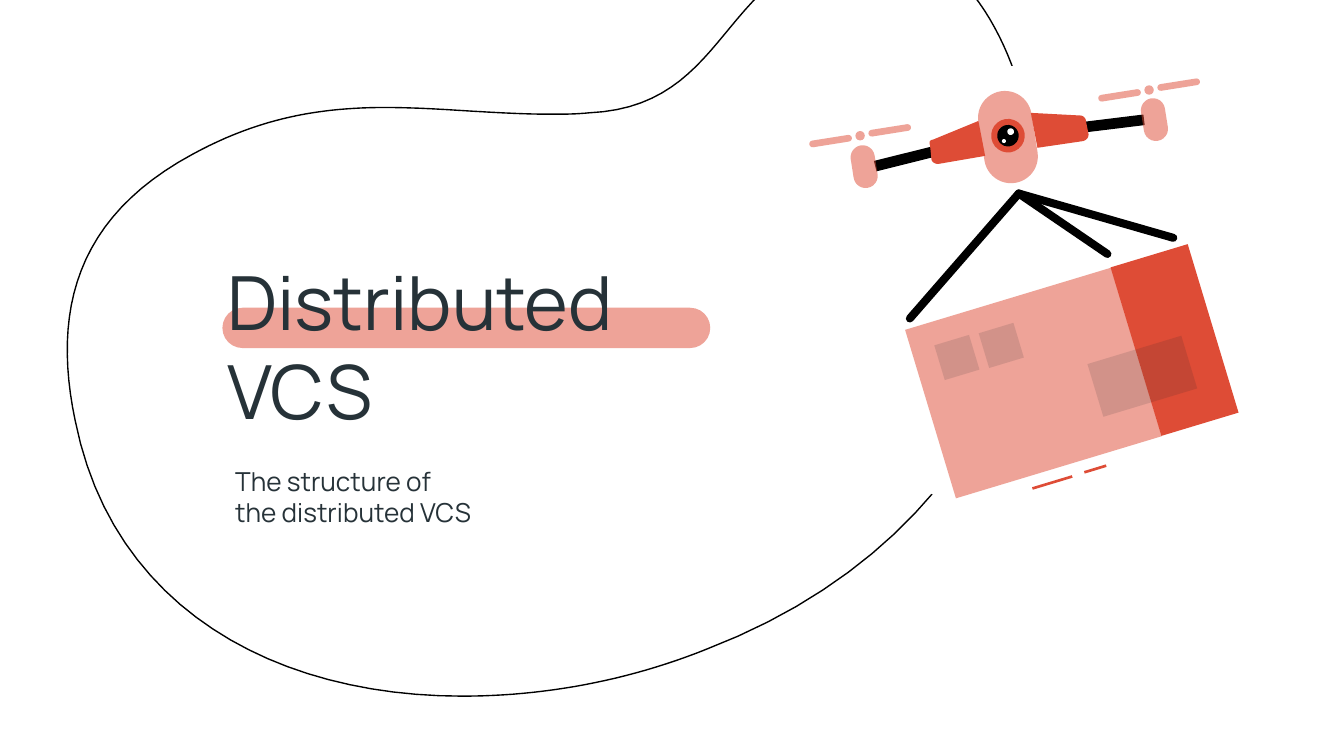
from dataclasses import dataclass

from lxml.etree import SubElement
from pptx import Presentation
from pptx.dml.color import RGBColor
from pptx.enum.shapes import MSO_CONNECTOR, MSO_SHAPE
from pptx.enum.text import MSO_ANCHOR, MSO_AUTO_SIZE, PP_ALIGN
from pptx.oxml.ns import qn
from pptx.util import Inches, Pt


@dataclass(frozen=True)
class Theme:
    font: str = "Manrope"
    title_size: int = 40
    body_size: int = 14
    line: float = 0.75
    rope: float = 4.3
    ink: tuple = ("263238", 100)
    red: tuple = ("DE4C36", 100)
    pink: tuple = ("DE4C36", 51)
    shade: tuple = ("1A2327", 13)
    black: tuple = ("000000", 100)
    white: tuple = ("FFFFFF", 100)


T = Theme()
RECT, PILL, DISC = MSO_SHAPE.RECTANGLE, MSO_SHAPE.ROUNDED_RECTANGLE, MSO_SHAPE.OVAL
SLIDE_WIDTH = 10
SLIDE_HEIGHT = SLIDE_WIDTH * 9 / 16

TITLE = ["Distributed VCS"]
SUBTITLE = ["The structure of", "the distributed VCS"]

# Outlines: a start point, then a point per straight line or three per Bezier curve
BLOB = [
    (6.51, -0.44),
    (6.36, -0.44, 6.19, -0.4, 6.01, -0.31), (5.34, 0.04, 5.29, 0.8, 4.38, 0.84),
    (4.28, 0.85, 4.19, 0.85, 4.11, 0.85), (3.67, 0.85, 3.27, 0.8, 2.87, 0.8),
    (2.4, 0.8, 1.94, 0.87, 1.43, 1.15), (0.56, 1.62, 0.39, 2.32, 0.56, 3.13),
    (0.84, 4.53, 2.05, 5.18, 3.44, 5.18), (4.04, 5.18, 4.66, 5.07, 5.26, 4.83),
    (7.16, 4.1, 8.04, 2.42, 7.61, 0.74), (7.48, 0.23, 7.12, -0.44, 6.51, -0.44),
]
WINGS = [
    [(7.67, 0.84), (7.72, 1.1), (8.06, 1.05), (8.09, 1.04, 8.1, 1.02, 8.1, 1),
     (8.08, 0.9), (8.08, 0.88, 8.06, 0.86, 8.04, 0.86)],
    [(7.28, 0.9), (6.94, 1.04), (6.92, 1.04, 6.91, 1.06, 6.92, 1.08),
     (6.93, 1.18), (6.93, 1.2, 6.95, 1.22, 6.98, 1.22), (7.33, 1.16)],
]

# Parts: preset, centre x, centre y, width, height, colour
PARCEL_TILT = -16.8
PARCEL = [
    (RECT, 7.83, 3.59, 0.31, 0.02, T.red),
    (RECT, 8.15, 3.49, 0.17, 0.02, T.red),
    (RECT, 7.69, 2.85, 1.6, 1.31, T.pink),
    (RECT, 8.74, 2.53, 0.6, 1.31, T.red),
    (RECT, 8.5, 2.8, 0.73, 0.41, T.shade),
    (RECT, 7.12, 2.66, 0.27, 0.27, T.shade),
    (RECT, 7.45, 2.57, 0.27, 0.27, T.shade),
]
DRONE_TILT = -9
BODY = [
    (PILL, 7.5, 1.02, 0.4, 0.69, T.pink),
    (DISC, 7.5, 1.01, 0.25, 0.25, T.red),
    (DISC, 7.5, 1.01, 0.16, 0.16, T.black),
    (DISC, 7.52, 0.98, 0.05, 0.05, T.white),
    (DISC, 7.47, 1.05, 0.03, 0.03, T.white),
]
# Each side: arm centre and tilt, pod centre, rotor hub centre
SIDES = [
    ((8.28, 0.92), -7, (8.59, 0.89), (8.55, 0.67)),
    ((6.74, 1.18), -14, (6.43, 1.24), (6.4, 1.01)),
]
BLADE_OFFSET = (0.22, -0.04)

HOOK = (7.58, 1.44)
ROPE_ENDS = [(8.73, 1.77), (8.24, 1.89), (6.77, 2.37)]


def paint(color_format, color):
    """Apply an (RRGGBB, percent opacity) pair."""
    rgb, opacity = color
    color_format.rgb = RGBColor.from_string(rgb)
    if opacity < 100:
        clr = color_format._xFill.find(qn("a:srgbClr"))
        SubElement(clr, qn("a:alpha"), val=str(opacity * 1000))


def style(sp, fill=None):
    sp.shadow.inherit = False
    if fill:
        sp.fill.solid()
        paint(sp.fill.fore_color, fill)
        sp.line.fill.background()
    else:
        sp.fill.background()
    return sp


def add_part(s, preset, cx, cy, w, h, color, tilt=0):
    sp = s.shapes.add_shape(preset, *map(Inches, (cx - w / 2, cy - h / 2, w, h)))
    if preset == PILL:
        sp.adjustments[0] = 0.5
    sp.rotation = tilt
    return style(sp, color)


def flatten(outline, steps=24):
    """Turn lines and Bezier curves into a list of points."""
    points = [outline[0]]
    for seg in outline[1:]:
        if len(seg) == 2:
            points.append(seg)
            continue
        ctrl = [points[-1], seg[:2], seg[2:4], seg[4:]]
        for t in (i / steps for i in range(1, steps + 1)):
            weights = ((1 - t) ** 3, 3 * t * (1 - t) ** 2, 3 * t * t * (1 - t), t ** 3)
            points.append(tuple(sum(k * c[a] for k, c in zip(weights, ctrl)) for a in (0, 1)))
    return points


def add_outline(s, outline, fill=None):
    start, *rest = [tuple(map(Inches, p)) for p in flatten(outline)]
    builder = s.shapes.build_freeform(*start)
    builder.add_line_segments(rest, close=True)
    return style(builder.convert_to_shape(), fill)


def add_rope(s, end):
    rope = s.shapes.add_connector(MSO_CONNECTOR.STRAIGHT, *map(Inches, HOOK + end))
    paint(rope.line.color, T.black)
    rope.line.width = Pt(T.rope)
    rope.line._get_or_add_ln().set("cap", "rnd")
    SubElement(rope._element.spPr, qn("a:effectLst"))


def fill_placeholder(s, sp, lines, box, size):
    s.shapes.element.append(sp.element)  # bring in front of the highlight
    for name, value in zip(("left", "top", "width", "height"), box):
        setattr(sp, name, Inches(value))
    tf = sp.text_frame
    tf.text = "\n".join(lines)
    frame = dict(word_wrap=True, auto_size=MSO_AUTO_SIZE.NONE, vertical_anchor=MSO_ANCHOR.TOP)
    frame |= {f"margin_{side}": Inches(0.1) for side in ("left", "top", "right", "bottom")}
    for name, value in frame.items():
        setattr(tf, name, value)
    para = dict(alignment=PP_ALIGN.LEFT, line_spacing=1.0, space_before=Pt(0), space_after=Pt(0))
    for p in tf.paragraphs:
        for name, value in para.items():
            setattr(p, name, value)
        for r in p.runs:
            r.font.name, r.font.size = T.font, Pt(size)
            paint(r.font.color, T.ink)


def draw_drone(s):
    for part in BODY:
        add_part(s, *part, DRONE_TILT)
    dx, dy = BLADE_OFFSET
    for (arm, arm_tilt, pod, hub), wing in zip(SIDES, WINGS):
        add_part(s, RECT, *arm, 0.47, 0.08, T.black, arm_tilt)
        add_part(s, PILL, *pod, 0.18, 0.32, T.pink, DRONE_TILT)
        add_outline(s, wing, T.red)
        add_part(s, DISC, *hub, 0.07, 0.07, T.pink)
        for side in (1, -1):
            add_part(s, PILL, hub[0] + side * dx, hub[1] + side * dy,
                     0.32, 0.05, T.pink, DRONE_TILT)


def main():
    prs = Presentation()
    prs.slide_width, prs.slide_height = Inches(SLIDE_WIDTH), Inches(SLIDE_HEIGHT)
    s = prs.slides.add_slide(prs.slide_layouts[0])
    title, subtitle = s.placeholders

    blob = add_outline(s, BLOB)
    paint(blob.line.color, T.black)
    blob.line.width = Pt(T.line)

    add_part(s, PILL, 3.47, 2.44, 3.63, 0.3, T.pink)
    fill_placeholder(s, title, TITLE, (1.59, 1.8, 4.23, 0.79), T.title_size)
    fill_placeholder(s, subtitle, SUBTITLE, (1.65, 3.36, 4.23, 1.12), T.body_size)

    add_part(s, DISC, 7.8, 2.19, 3.44, 3.44, T.white)
    for part in PARCEL:
        add_part(s, *part, PARCEL_TILT)
    draw_drone(s)
    for end in ROPE_ENDS:
        add_rope(s, end)
    prs.save("out.pptx")


if __name__ == "__main__":
    main()
